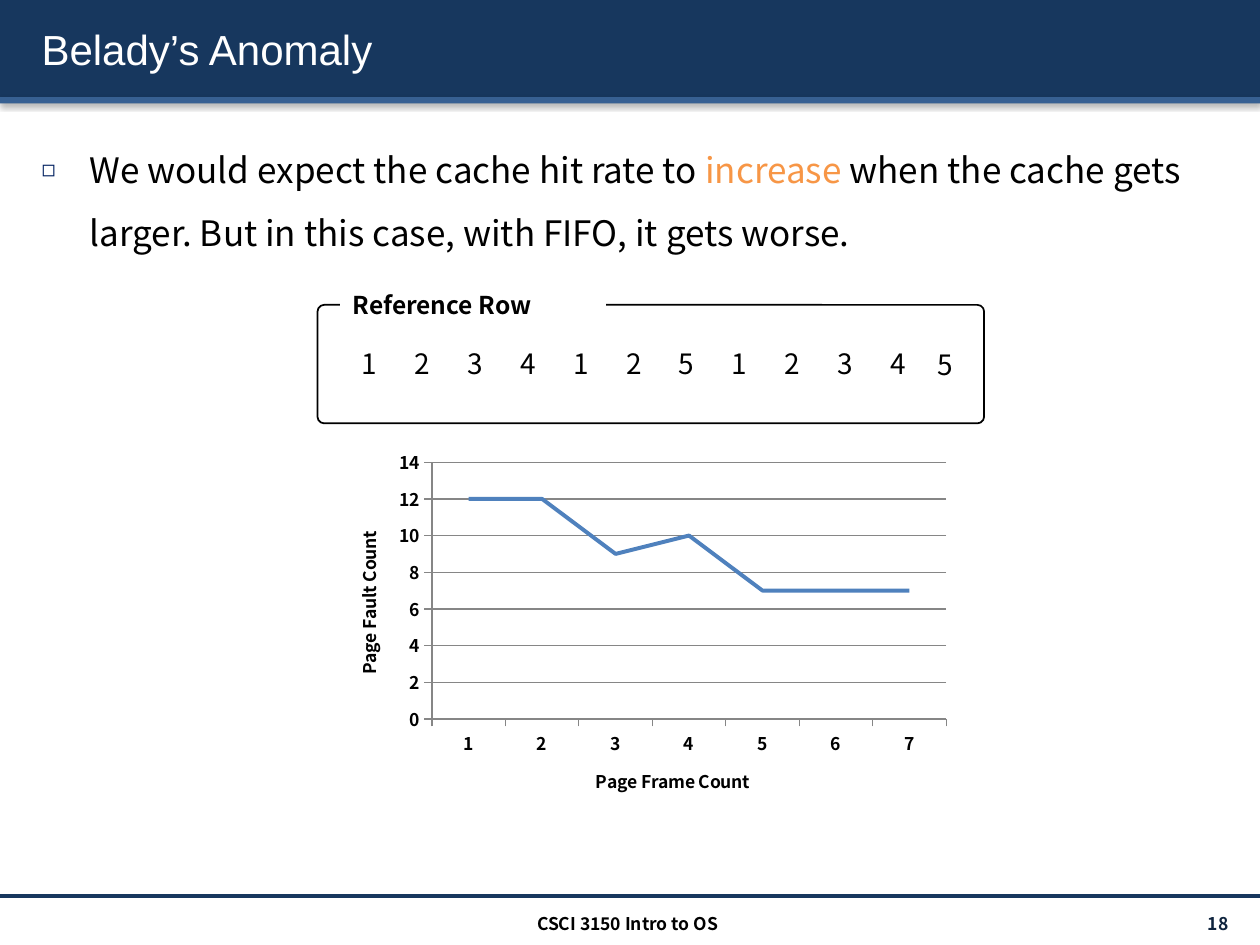
from lxml import etree
from pptx import Presentation
from pptx.chart.data import CategoryChartData
from pptx.dml.color import RGBColor
from pptx.enum.chart import XL_CHART_TYPE, XL_TICK_MARK
from pptx.enum.shapes import MSO_CONNECTOR, MSO_SHAPE
from pptx.enum.text import MSO_ANCHOR, MSO_AUTO_SIZE, PP_ALIGN
from pptx.oxml import parse_xml
from pptx.oxml.ns import nsdecls, qn
from pptx.util import Inches, Pt

LINE_CHART = XL_CHART_TYPE.LINE
TICK_OUTSIDE = XL_TICK_MARK.OUTSIDE
STRAIGHT = MSO_CONNECTOR.STRAIGHT
RECTANGLE, ROUNDED = MSO_SHAPE.RECTANGLE, MSO_SHAPE.ROUNDED_RECTANGLE
TOP, MIDDLE = MSO_ANCHOR.TOP, MSO_ANCHOR.MIDDLE
NO_FIT = MSO_AUTO_SIZE.NONE
LEFT, CENTER, RIGHT = PP_ALIGN.LEFT, PP_ALIGN.CENTER, PP_ALIGN.RIGHT

TITLE_FONT, BODY_FONT = "Arial", "Noto Sans CJK KR"
COLORS = {
    "navy": "17375E", "stripe": "376092", "bullet": "002060", "number": "0F243E",
    "black": "000000", "white": "FFFFFF", "accent": "F79646",
    "series": "4F81BD", "grid": "868686",
}


def color(name):
    return RGBColor.from_string(COLORS[name])


def shadow_xml(blur, distance, direction, opacity):
    return parse_xml(
        f'<a:effectLst {nsdecls("a")}><a:outerShdw blurRad="{Pt(blur)}" dist="{Pt(distance)}" '
        f'dir="{direction * 60000}" algn="tl" rotWithShape="0"><a:srgbClr val="{COLORS["black"]}">'
        f'<a:alpha val="{opacity * 1000}"/></a:srgbClr></a:outerShdw></a:effectLst>')


class SlideBuilder:
    def __init__(self, slide):
        self.slide = slide

    def style(self, font, size, tone="black", bold=False, name=BODY_FONT):
        font.name, font.size, font.bold = name, Pt(size), bold
        font.color.rgb = color(tone)

    def place(self, item, left, top, width, height):
        item.left, item.top = Inches(left), Inches(top)
        item.width, item.height = Inches(width), Inches(height)

    def box(self, at, fill, kind=RECTANGLE, outline=None, shadow=False, parent=None):
        shape = (parent or self.slide).shapes.add_shape(kind, *map(Inches, at))
        shape.shadow.inherit = False
        shape.fill.solid()
        shape.fill.fore_color.rgb = color(fill)
        if outline:
            shape.line.color.rgb = color(outline)
            shape.line.width = Pt(1)
        else:
            shape.line.fill.background()
        if shadow:
            effects = shape.element.spPr.find(qn("a:effectLst"))
            effects.extend(list(shadow_xml(3.1, 1.6, 90, 38)))
        return shape

    def rule(self, start, end, tone, width):
        line = self.slide.shapes.add_connector(STRAIGHT, *map(Inches, start + end))
        line.line.color.rgb = color(tone)
        line.line.width = Pt(width)
        etree.SubElement(line.element.spPr, qn("a:effectLst"))

    def set_text(self, shape, wording, size, align=LEFT, anchor=TOP, **look):
        frame = shape.text_frame
        frame.text = wording
        frame.word_wrap = True
        frame.vertical_anchor = anchor
        paragraph = frame.paragraphs[0]
        paragraph.alignment = align
        self.style(paragraph.runs[0].font, size, **look)
        return frame

    def text(self, at, wording, size, parent=None, **look):
        textbox = (parent or self.slide).shapes.add_textbox(*map(Inches, at))
        return self.set_text(textbox, wording, size, **look)

    def digit(self, left, top, wording, parent=None):
        frame = self.text((left, top, 0.48, 0.37), wording, 16, parent,
                          align=CENTER, anchor=MIDDLE)
        frame.margin_left = frame.margin_right = 0

    def title(self, wording):
        title = self.slide.shapes.title
        title.element.getparent().append(title.element)
        self.place(title, 0.23, 0.07, 9.61, 0.64)
        frame = self.set_text(title, wording, 24, anchor=MIDDLE, tone="white", name=TITLE_FONT)
        frame.auto_size = NO_FIT
        run_fill = title.element.find(f'.//{qn("a:rPr")}/{qn("a:solidFill")}')
        run_fill.addnext(shadow_xml(1, 1.5, 45, 100))

    def bullet(self, parts):
        body = self.slide.placeholders[1]
        self.place(body, 0.23, 0.96, 9.61, 6.02)
        frame = body.text_frame
        frame.auto_size = NO_FIT
        paragraph = frame.paragraphs[0]
        paragraph.line_spacing = 1.5
        paragraph.space_before = Pt(4)
        for wording, tone in parts:
            run = paragraph.add_run()
            run.text = wording
            self.style(run.font, 20, tone)
        properties = body.element.find(".//" + qn("a:pPr"))
        properties.set("marL", str(Inches(0.38)))
        properties.set("indent", str(-Inches(0.38)))
        for mark in (f'<a:buClr {nsdecls("a")}><a:srgbClr val="{COLORS["bullet"]}"/></a:buClr>',
                     f'<a:buSzPct {nsdecls("a")} val="65000"/>',
                     f'<a:buChar {nsdecls("a")} char="◻"/>'):
            properties.append(parse_xml(mark))

    def axis(self, axis, caption):
        axis.has_title = True
        frame = axis.axis_title.text_frame
        frame.text = caption
        self.style(frame.paragraphs[0].runs[0].font, 10, bold=True)
        self.style(axis.tick_labels.font, 10, bold=True)
        axis.major_tick_mark = TICK_OUTSIDE
        axis.format.line.color.rgb = color("grid")

    def line_chart(self, at, categories, name, values, category_caption, value_caption):
        data = CategoryChartData()
        data.categories = categories
        data.add_series(name, values)
        chart = self.slide.shapes.add_chart(LINE_CHART, *map(Inches, at), data).chart
        chart.has_title = chart.has_legend = False
        self.style(chart.font, 10)
        self.axis(chart.category_axis, category_caption)
        self.axis(chart.value_axis, value_caption)
        scale = chart.value_axis
        scale.minimum_scale, scale.maximum_scale, scale.major_unit = 0, 14, 2
        scale.has_major_gridlines = True
        scale.major_gridlines.format.line.color.rgb = color("grid")
        chart.plots[0].vary_by_categories = False
        series = chart.plots[0].series[0]
        series.smooth = False
        series.format.line.color.rgb = color("series")
        series.format.line.width = Pt(2.25)


def main():
    deck = Presentation()
    deck.slide_width, deck.slide_height = Inches(10), Inches(7.5)
    page = SlideBuilder(deck.slides.add_slide(deck.slide_layouts[1]))

    page.box((0, 0, 10, 0.77), "navy", shadow=True)
    page.box((0, 0.77, 10, 0.05), "stripe", shadow=True)
    page.rule((0, 7.11), (10, 7.11), "navy", 2)
    page.title("Belady’s Anomaly")
    page.bullet([
        ("We would expect the cache hit rate to ", "black"),
        ("increase", "accent"),
        (" when the cache gets larger. But in this case, with FIFO, it gets worse.", "black"),
    ])
    page.text((8.71, 7.21, 1.17, 0.24), "18 ", 10, align=RIGHT, anchor=MIDDLE,
              tone="number", bold=True)
    page.text((3.32, 7.2, 3.32, 0.24), "CSCI 3150 Intro to OS", 10, align=CENTER, bold=True)

    page.line_chart((2.61, 3.51, 5, 3), [str(frames) for frames in range(1, 8)], "Series 1",
                    (12, 12, 9, 10, 7, 7, 7), "Page Frame Count", "Page Fault Count")

    reference = page.slide.shapes.add_group_shape()
    border = page.box((2.52, 2.42, 5.29, 0.94), "white", ROUNDED, "black", parent=reference)
    border.adjustments[0] = 0.056
    heading = page.box((2.7, 2.25, 2.11, 0.34), "white", parent=reference)
    page.set_text(heading, "Reference Row", 14, bold=True)
    for position, number in enumerate("12341251234"):
        page.digit(2.69 + 0.42 * position, 2.7, number, reference)
    page.digit(7.26, 2.71, "5")

    deck.save("out.pptx")


if __name__ == "__main__":
    main()
